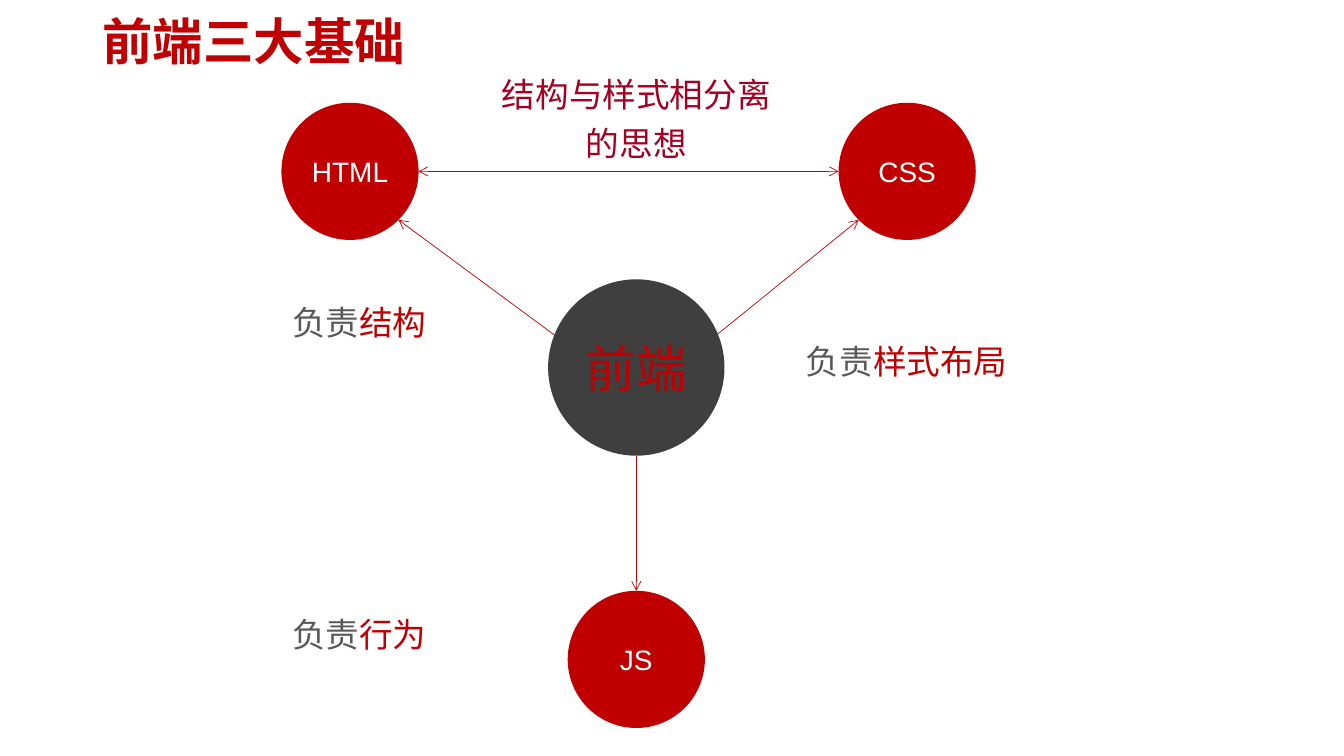
from collections import namedtuple
from math import sqrt

from lxml import etree
from pptx import Presentation
from pptx.dml.color import RGBColor
from pptx.enum import shapes, text
from pptx.oxml.ns import qn
from pptx.util import Pt

TITLE = "前端三大基础"
IDEA = ["结构与样式相分离", "的思想"]
HUB = "前端"
DUTY = "负责"

Topic = namedtuple("Topic", "name cx cy duty duty_left duty_top")
TOPICS = [
    Topic("HTML", 250, 122.4, "结构", 175.7, 171.4),
    Topic("CSS", 648, 122.4, "样式布局", 566.6, 199.4),
    Topic("JS", 454.5, 471, "行为", 175.7, 394.6),
]
HUB_CX, HUB_CY = 454.5, 262.5
HUB_R, TOPIC_R = 63, 49
DUTY_W, DUTY_H = 162, 116.6


class Theme:
    red, dark, gray, white, wine = "C00000", "3F3F3F", "595959", "FFFFFF", "A50021"
    latin, cjk = "Arial", "Noto Sans CJK SC"
    big, label, topic = 36, 24, 20
    line = 0.5


def write(tf, paragraphs, size, font=Theme.cjk, bold=False, spacing=None,
          align=text.PP_ALIGN.CENTER, anchor=text.MSO_ANCHOR.MIDDLE, inset=None):
    """Fill a text frame; each paragraph is a list of (words, colour) runs."""
    tf.vertical_anchor = anchor
    if inset is not None:
        tf.margin_left = tf.margin_right = tf.margin_top = tf.margin_bottom = Pt(inset)
    for i, runs in enumerate(paragraphs):
        p = tf.add_paragraph() if i else tf.paragraphs[0]
        p.alignment = align
        p.line_spacing = spacing
        for words, color in runs:
            r = p.add_run()
            r.text = words
            r.font.size, r.font.name, r.font.bold = Pt(size), font, bold
            r.font.color.rgb = RGBColor.from_string(color)
            ea = etree.SubElement(r.font._element, qn("a:ea"))
            ea.set("typeface", Theme.cjk)


def add_box(s, left, top, width, height):
    sp = s.shapes.add_textbox(Pt(left), Pt(top), Pt(width), Pt(height))
    sp.text_frame.word_wrap = True
    return sp


def add_circle(s, cx, cy, radius, fill):
    sp = s.shapes.add_shape(shapes.MSO_SHAPE.OVAL, Pt(cx - radius), Pt(cy - radius),
                            Pt(2 * radius), Pt(2 * radius))
    sp.shadow.inherit = False
    sp.fill.solid()
    sp.fill.fore_color.rgb = RGBColor.from_string(fill)
    sp.line.fill.background()
    return sp


def add_arrow(s, start, end, ends=("tailEnd",)):
    cn = s.shapes.add_connector(shapes.MSO_CONNECTOR.STRAIGHT,
                                *[Pt(v) for v in (*start, *end)])
    cn.line.color.rgb = RGBColor.from_string(Theme.red)
    cn.line.width = Pt(Theme.line)
    ln = cn.line._get_or_add_ln()
    for tag in ends:
        etree.SubElement(ln, qn("a:" + tag)).set("type", "arrow")
    etree.SubElement(cn._element.spPr, qn("a:effectLst"))


def spoke(topic):
    """Give the ends of the arrow from the hub to a topic's nearest edge point."""
    side = (topic.cx > HUB_CX) - (topic.cx < HUB_CX)
    if not side:
        return (HUB_CX, HUB_CY + HUB_R), (topic.cx, topic.cy - TOPIC_R)
    diagonal = TOPIC_R / sqrt(2)
    end = topic.cx - side * diagonal, topic.cy + diagonal
    start = HUB_CX + side * 46, HUB_CY - 14
    return start, end


def main():
    prs = Presentation()
    prs.slide_width, prs.slide_height = Pt(960), Pt(540)
    s = prs.slides.add_slide(prs.slide_layouts[5])

    title = s.shapes.title
    title.left, title.top, title.width, title.height = Pt(66), Pt(0), Pt(828), Pt(63)
    write(title.text_frame, [[(TITLE, Theme.red)]], Theme.big, font=Theme.latin,
          bold=True, spacing=0.9, align=text.PP_ALIGN.LEFT)

    for t in TOPICS:
        add_arrow(s, *spoke(t))
        sp = add_circle(s, t.cx, t.cy, TOPIC_R, Theme.red)
        write(sp.text_frame, [[(t.name, Theme.white)]], Theme.topic, font=Theme.latin)
        sp = add_box(s, t.duty_left, t.duty_top, DUTY_W, DUTY_H)
        write(sp.text_frame, [[(DUTY, Theme.gray), (t.duty, Theme.red)]],
              Theme.label, inset=0)

    hub = add_circle(s, HUB_CX, HUB_CY, HUB_R, Theme.dark)
    write(hub.text_frame, [[(HUB, Theme.red)]], Theme.big)

    html, css = TOPICS[:2]
    add_arrow(s, (html.cx + TOPIC_R, html.cy), (css.cx - TOPIC_R, css.cy),
              ends=("headEnd", "tailEnd"))
    idea = add_box(s, 351.2, 43.2, 206.6, 77)
    idea.text_frame.word_wrap = False
    idea.text_frame.auto_size = text.MSO_AUTO_SIZE.SHAPE_TO_FIT_TEXT
    write(idea.text_frame, [[(line, Theme.wine)] for line in IDEA], Theme.label,
          spacing=Pt(35), anchor=text.MSO_ANCHOR.TOP)

    prs.save("out.pptx")


if __name__ == "__main__":
    main()
